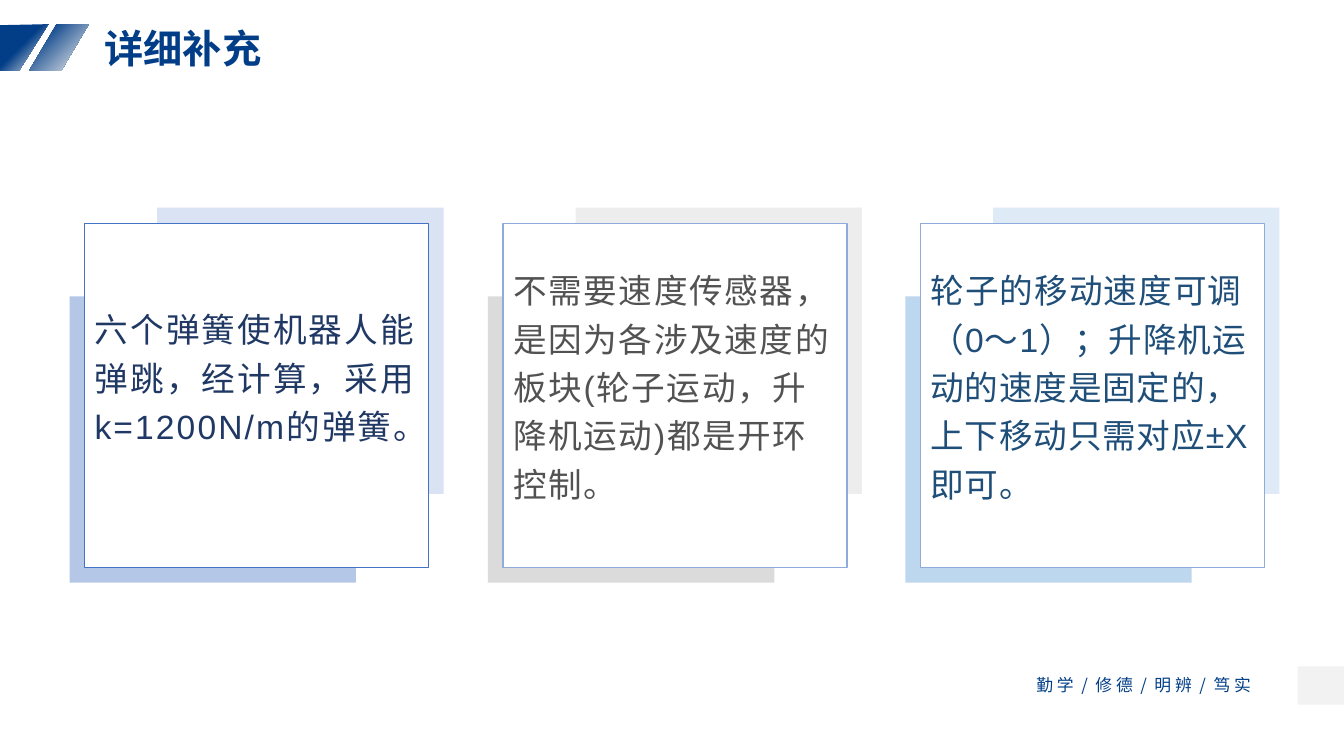
from lxml.etree import SubElement
from pptx import Presentation
from pptx.dml.color import RGBColor
from pptx.enum.shapes import MSO_SHAPE
from pptx.enum.text import MSO_AUTO_SIZE, PP_ALIGN
from pptx.oxml.ns import qn
from pptx.util import Inches, Pt

# Colours and fonts
NAVY = RGBColor(0x02, 0x3E, 0x87)
CREAM = RGBColor(0xFA, 0xF6, 0xF3)
WHITE = RGBColor(0xFF, 0xFF, 0xFF)
PALE = RGBColor(0xF2, 0xF2, 0xF2)
BLUE = RGBColor(0x44, 0x72, 0xC4)
SOFT = RGBColor(0x8F, 0xAA, 0xDC)
LATIN, HAN = "Arial", "Noto Sans CJK SC"

# Content: runs are (text, letter spacing in points)
TITLE = "详细补充"
MOTTO = "勤 学  /  修 德  /  明 辨  /  笃 实"
CARDS = [
    {"left": 0.69, "top": 2.94, "edge": BLUE, "ink": RGBColor(0x20, 0x38, 0x64),
     "back": RGBColor(0xDA, 0xE3, 0xF3), "front": RGBColor(0xB4, 0xC7, 0xE7),
     "runs": [("六个弹簧使机器人能弹跳，经计算，采用k=1200N/m的弹簧。", 1.5)]},
    {"left": 4.84, "top": 2.55, "edge": SOFT, "ink": RGBColor(0x52, 0x52, 0x52),
     "back": RGBColor(0xED, 0xED, 0xED), "front": RGBColor(0xDB, 0xDB, 0xDB),
     "runs": [("不需要速度传感器，是因为各涉及速度的板块"
               "(轮子运动，升降机运动)都是开环控制。", 1.2)]},
    {"left": 8.98, "top": 2.55, "edge": SOFT, "ink": RGBColor(0x1F, 0x4E, 0x79),
     "back": RGBColor(0xDE, 0xEB, 0xF7), "front": RGBColor(0xBD, 0xD7, 0xEE),
     "runs": [("轮子的移动速度可调（0～1）；", 0.8),
              ("升降机运动的速度是固定的，上下移动只需对应±X即可。", 0.6)]},
]

# Sizes in inches
WIDE, HIGH = 13.33, 7.5
PANEL, SQUARE = 2.84, 3.41

deck = Presentation()
deck.slide_width, deck.slide_height = Inches(WIDE), Inches(HIGH)
slide = deck.slides.add_slide(deck.slide_layouts[6])
shapes = slide.shapes


def add_text(runs, box, size, color, font=LATIN, bold=False, align=PP_ALIGN.LEFT,
             inset=None, wrap=True, grow=False, line=None, after=None):
    frame = shapes.add_textbox(*map(Inches, box)).text_frame
    frame.word_wrap = wrap
    frame.auto_size = MSO_AUTO_SIZE.SHAPE_TO_FIT_TEXT if grow else MSO_AUTO_SIZE.NONE
    if inset is not None:
        frame.margin_left = frame.margin_right = Inches(inset)
        frame.margin_top = frame.margin_bottom = Inches(inset)
    para = frame.paragraphs[0]
    para.alignment, para.line_spacing = align, line
    if after:
        para.space_after = Pt(after)
    for text, gap in runs:
        run = para.add_run()
        run.text = text
        run.font.size, run.font.bold, run.font.name = Pt(size), bold, font
        run.font.color.rgb = color
        props = run.font._element
        SubElement(props, qn("a:ea")).set("typeface", HAN)
        if gap:
            props.set("spc", str(round(gap * 100)))


def add_box(left, top, width, height, fill, edge=None):
    box = shapes.add_shape(MSO_SHAPE.RECTANGLE, *map(Inches, (left, top, width, height)))
    box.shadow.inherit = False
    box.fill.solid()
    box.fill.fore_color.rgb = fill
    if edge is None:
        box.line.fill.background()
    else:
        box.line.color.rgb, box.line.width = edge, Pt(1)


def shade(shape, start):
    shape.shadow.inherit = False
    shape.line.fill.background()
    shape.fill.gradient()
    shape.fill.gradient_angle = 315
    for stop, color, spot in zip(shape.fill.gradient_stops, (NAVY, CREAM), (start, 1)):
        stop.color.rgb, stop.position = color, spot


# Footer
add_text([(MOTTO, 0)], (10.28, 6.69, 2.46, 0.2), 12, NAVY, font=HAN,
         inset=0, wrap=False, grow=True)
add_box(12.87, 6.61, WIDE - 12.87, 0.38, PALE)

# Header stripes
stripe = shapes.add_shape(MSO_SHAPE.PARALLELOGRAM, *map(Inches, (0.29, 0.24, 0.59, 0.46)))
stripe.adjustments[0] = 0.59
shade(stripe, 0.19)
pen = shapes.build_freeform(Inches(0.48), Inches(0.24))
pen.add_line_segments([(Inches(x), Inches(y)) for x, y in ((0.19, 0.7), (0, 0.7), (0, 0.25))])
shade(pen.convert_to_shape(), 0.45)

# Cards
for card in CARDS:
    left = card["left"]
    add_box(left + 0.87, 2.06, PANEL, PANEL, card["back"])
    add_box(left, 2.94, PANEL, PANEL, card["front"])
    add_box(left + 0.15, 2.22, SQUARE, SQUARE, WHITE, card["edge"])
    add_text(card["runs"], (left + 0.15, card["top"], SQUARE, 2.41), 24, card["ink"],
             line=1.2, after=8)

# Title
add_text([(TITLE, 0)], (0.25, 0.19, 3.13, 0.57), 28, NAVY, font=HAN, bold=True,
         align=PP_ALIGN.CENTER, grow=True)

deck.save("out.pptx")
